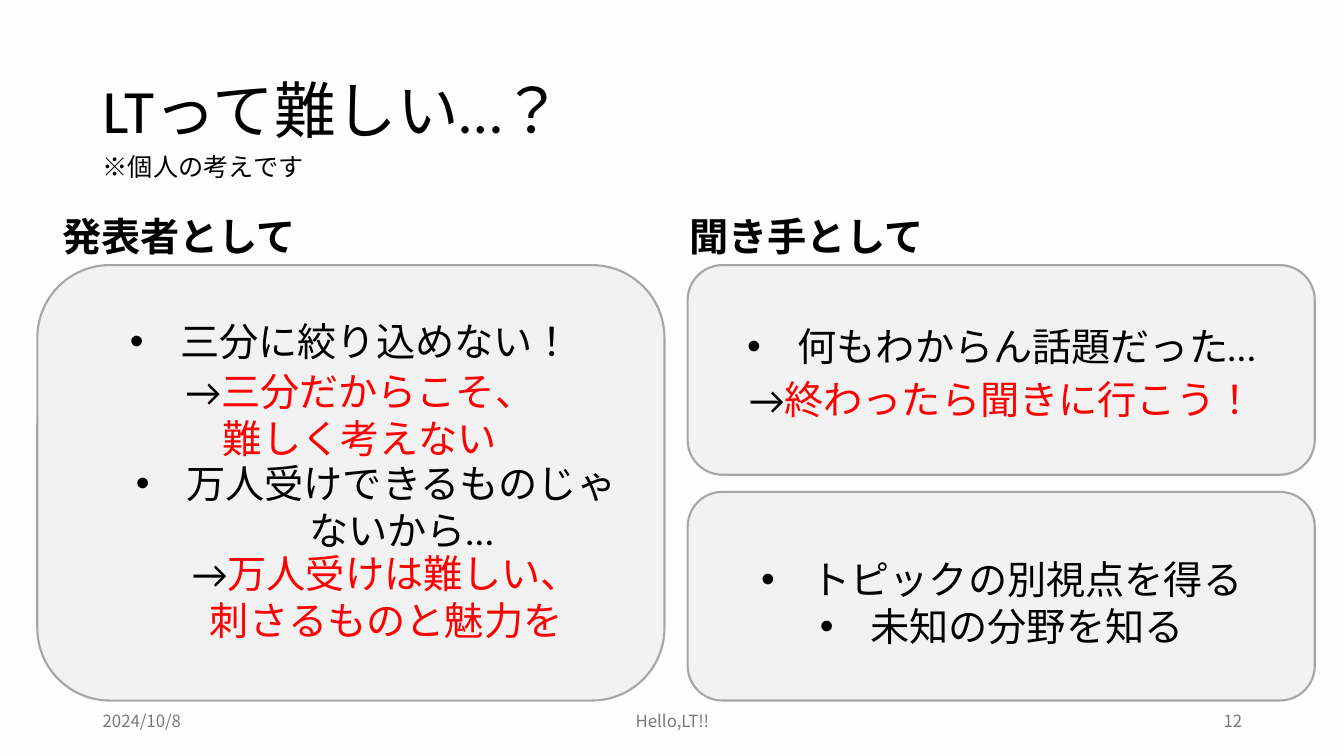
from lxml import etree
from pptx import Presentation
from pptx.dml.color import RGBColor
from pptx.enum.lang import MSO_LANGUAGE_ID
from pptx.enum.shapes import MSO_SHAPE
from pptx.enum.text import MSO_ANCHOR, PP_ALIGN
from pptx.oxml.ns import qn
from pptx.util import Inches, Pt

ROUNDED = MSO_SHAPE.ROUNDED_RECTANGLE
TOP, MIDDLE = MSO_ANCHOR.TOP, MSO_ANCHOR.MIDDLE
LEFT, CENTER, RIGHT = PP_ALIGN.LEFT, PP_ALIGN.CENTER, PP_ALIGN.RIGHT
JAPANESE = MSO_LANGUAGE_ID.JAPANESE
BLACK, RED, GRAY = "000000", "FF0000", "797979"
LINE_HEIGHT = 0.47


def rgb(value):
    return RGBColor.from_string(value)


def write(shape, paragraphs, size=28, color=BLACK, bold=False, font="Calibri",
          align=LEFT, anchor=TOP, indent=0, bullet=False, spacing=1.0, gap=0):
    """Fill a shape with paragraphs, each a list of (text, color or None) runs."""
    frame = shape.text_frame
    frame.word_wrap = True
    frame.vertical_anchor = anchor
    for index, runs in enumerate(paragraphs):
        paragraph = frame.add_paragraph() if index else frame.paragraphs[0]
        layout = {"alignment": align, "line_spacing": spacing,
                  "space_before": Inches(gap if index else 0)}
        for name, value in layout.items():
            setattr(paragraph, name, value)
        properties = paragraph._p.get_or_add_pPr()
        left = indent[index] if isinstance(indent, list) else indent
        properties.set("marL", str(Inches(left)))
        properties.set("indent", str(Inches(-0.5 if bullet else 0)))
        if bullet:
            etree.SubElement(properties, qn("a:buFont")).set("typeface", "Arial")
            etree.SubElement(properties, qn("a:buChar")).set("char", "•")
        for text, run_color in runs:
            for line_index, line in enumerate(text.split("\n")):
                if line_index:
                    paragraph.add_line_break()
                run = paragraph.add_run()
                run.text = line
                look = {"size": Pt(size), "bold": bold, "name": font,
                        "language_id": JAPANESE}
                for name, value in look.items():
                    setattr(run.font, name, value)
                run.font.color.rgb = rgb(run_color or color)
                east_asian = etree.SubElement(run._r.get_or_add_rPr(), qn("a:ea"))
                east_asian.set("typeface", font)


presentation = Presentation()
presentation.slide_width = Inches(13.33)
presentation.slide_height = Inches(7.5)
slide = presentation.slides.add_slide(presentation.slide_layouts[6])
slide.background.fill.solid()
slide.background.fill.fore_color.rgb = rgb("FEFEFE")

# Panels: box, bulleted paragraphs, their indents, lines kept free for answers
panels = [
    ((0.37, 2.63, 6.22, 4.32),
     ["三分に絞り込めない！", "万人受けできるものじゃないから…"], [0.5, 1], 2),
    ((6.82, 2.63, 6.22, 2.08), ["何もわからん話題だった…"], [0.5], 1),
    ((6.82, 4.88, 6.22, 2.07), [], [], 0),
]
for box, bullets, indents, free_lines in panels:
    panel = slide.shapes.add_shape(ROUNDED, *map(Inches, box))
    panel.shadow.inherit = False
    panel.fill.solid()
    panel.fill.fore_color.rgb = rgb("F2F2F2")
    panel.line.color.rgb = rgb("A6A6A6")
    panel.line.width = Pt(1.5)
    free_height = free_lines * LINE_HEIGHT
    panel.text_frame.margin_bottom = Inches(0.05 + free_height)
    write(panel, [[(text, None)] for text in bullets], align=CENTER,
          anchor=MIDDLE, indent=indents, bullet=True, gap=free_height)

# Text boxes: box, paragraphs, format
heading = {"bold": True}
answer = {"align": CENTER, "indent": 0.5}
footer = {"size": 12, "color": GRAY, "font": "Noto Sans CJK JP", "anchor": MIDDLE}
texts = [
    ((0.92, 0.4, 11.5, 1.45), [[("LTって難しい…？", None)]],
     {"size": 44, "anchor": MIDDLE, "spacing": 0.9}),
    ((0.92, 1.45, 5.91, 0.4), [[("※個人の考えです", None)]], {"size": 18}),
    ((0.52, 2.06, 2.56, 0.57), [[("発表者として", None)]], heading),
    ((6.74, 2.06, 2.56, 0.57), [[("聞き手として", None)]], heading),
    ((1.22, 3.59, 4.2, 1.04),
     [[("→", None), ("三分だからこそ、\n難しく考えない", RED)]], answer),
    ((0.76, 5.4, 5.64, 1.04),
     [[("→", None), ("万人受けは難しい、\n刺さるものと魅力を", RED)]], answer),
    ((6.98, 3.67, 5.91, 0.57),
     [[("→", None), ("終わったら聞きに行こう！", RED)]], {"align": CENTER}),
    ((7.15, 5.46, 5.57, 1.04),
     [[("トピックの別視点を得る", None)], [("未知の分野を知る", None)]],
     {**answer, "bullet": True}),
    ((0.92, 6.95, 3, 0.4), [[("2024/10/8", None)]], footer),
    ((4.42, 6.95, 4.5, 0.4), [[("Hello,LT!!", None)]], {**footer, "align": CENTER}),
    ((9.42, 6.95, 3, 0.4), [[("12", None)]], {**footer, "align": RIGHT}),
]
for box, paragraphs, text_format in texts:
    write(slide.shapes.add_textbox(*map(Inches, box)), paragraphs, **text_format)

presentation.save("out.pptx")
